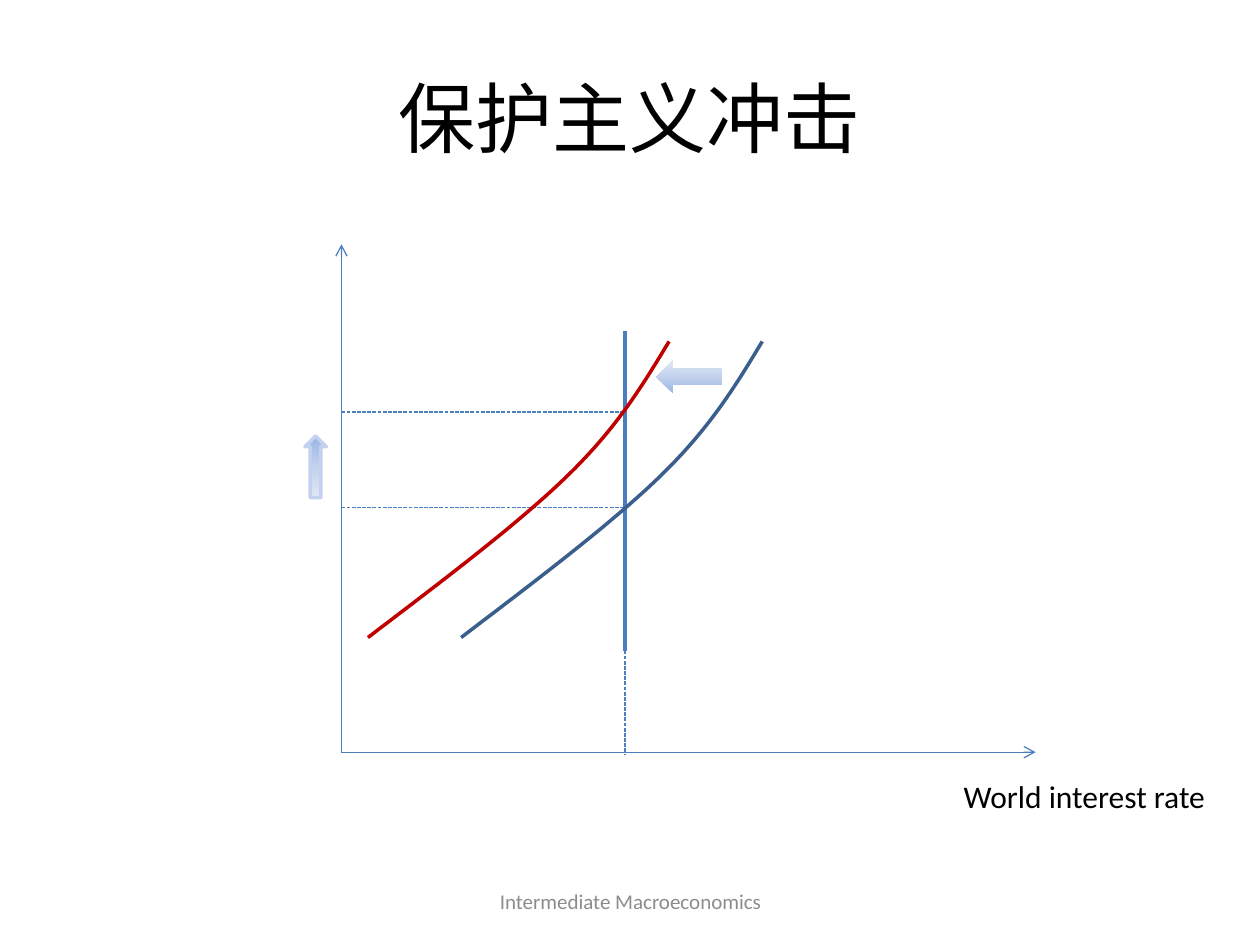
from lxml import etree
from pptx import Presentation
from pptx.dml.color import RGBColor
from pptx.enum.dml import MSO_LINE
from pptx.enum.shapes import MSO_CONNECTOR, MSO_SHAPE
from pptx.enum.text import MSO_ANCHOR, PP_ALIGN
from pptx.oxml.ns import qn
from pptx.util import Inches, Pt

STRAIGHT = MSO_CONNECTOR.STRAIGHT
RIGHT_ARROW, UP_ARROW = MSO_SHAPE.RIGHT_ARROW, MSO_SHAPE.UP_ARROW
DASH = MSO_LINE.SQUARE_DOT
TOP, MIDDLE = MSO_ANCHOR.TOP, MSO_ANCHOR.MIDDLE
LEFT, CENTER = PP_ALIGN.LEFT, PP_ALIGN.CENTER

COLORS = {
    "text": "000000", "footer": "8C8C8C", "axis": "4B7EBC",
    "demand": "3A5F8C", "shifted": "C00000",
    "deep": "9AB5E4", "mid": "C2D1ED", "pale": "E1E8F5",
}
COLUMNS, ROWS = 100, 75


def bezier(start, control_1, control_2, end, steps=20):
    """Points along one cubic segment, without its start."""
    points = []
    for step in range(1, steps + 1):
        t = step / steps
        weights = ((1 - t) ** 3, 3 * t * (1 - t) ** 2, 3 * t * t * (1 - t), t ** 3)
        corners = (start, control_1, control_2, end)
        points.append(tuple(sum(w * corner[axis] for w, corner in zip(weights, corners))
                            for axis in (0, 1)))
    return points


class Diagram:
    font = "Calibri"

    def __init__(self, deck):
        self.column = deck.slide_width / COLUMNS
        self.row = deck.slide_height / ROWS
        self.shapes = deck.slides.add_slide(deck.slide_layouts[6]).shapes

    def place(self, x, y):
        return round(x * self.column), round(y * self.row)

    def stroke(self, line, color, width):
        line.color.rgb = RGBColor.from_string(COLORS[color])
        line.width = Pt(width)

    def text(self, words, x, y, width, height, size, color="text",
             align=CENTER, anchor=MIDDLE):
        box = self.shapes.add_textbox(*self.place(x, y), *self.place(width, height))
        frame = box.text_frame
        frame.word_wrap = True
        frame.vertical_anchor = anchor
        frame.text = words
        para = frame.paragraphs[0]
        para.alignment = align
        font = para.runs[0].font
        font.name, font.size = self.font, Pt(size)
        font.color.rgb = RGBColor.from_string(COLORS[color])

    def line(self, start, end, width=0.75, dashed=False, arrow=False):
        connector = self.shapes.add_connector(STRAIGHT, *self.place(*start), *self.place(*end))
        self.stroke(connector.line, "axis", width)
        if dashed:
            connector.line.dash_style = DASH
        if arrow:
            etree.SubElement(connector.line._get_or_add_ln(), qn("a:tailEnd"), type="arrow")
        etree.SubElement(connector._element.spPr, qn("a:effectLst"))

    def curve(self, points, color):
        first, *others = [self.place(*point) for point in points]
        builder = self.shapes.build_freeform(*first)
        builder.add_line_segments(others, close=False)
        shape = builder.convert_to_shape()
        shape.shadow.inherit = False
        shape.fill.background()
        self.stroke(shape.line, color, 2)

    def block_arrow(self, kind, x, y, width, height, rotation=0, outline=None):
        shape = self.shapes.add_shape(kind, *self.place(x, y), *self.place(width, height))
        shape.shadow.inherit = False
        shape.rotation = rotation
        shape.fill.gradient()
        shape.fill.gradient_angle = 270
        stops = shape._element.spPr.find(".//" + qn("a:gsLst"))
        for stop in list(stops):
            stops.remove(stop)
        for position, color in ((0, "deep"), (50000, "mid"), (100000, "pale")):
            stop = etree.SubElement(stops, qn("a:gs"), pos=str(position))
            etree.SubElement(stop, qn("a:srgbClr"), val=COLORS[color])
        if outline:
            self.stroke(shape.line, outline, 2)
        else:
            shape.line.fill.background()


def main():
    deck = Presentation()
    deck.slide_width, deck.slide_height = Inches(10), Inches(7.5)
    diagram = Diagram(deck)

    # Title and footer
    diagram.text("保护主义冲击", 5, 3, 90, 12.5, 44)
    diagram.text("Intermediate Macroeconomics", 34.2, 69.5, 31.7, 4, 12, "footer")

    # Axes
    origin_x, origin_y = 27.1, 59.7
    origin = (origin_x, origin_y)
    diagram.line(origin, (82.2, origin_y), arrow=True)
    diagram.line(origin, (origin_x, 19.4), arrow=True)
    diagram.text("World interest rate", 75.5, 61.2, 22.5, 4, 18, align=LEFT, anchor=TOP)

    # Vertical supply line and its dashed extension
    supply_x = 49.6
    diagram.line((supply_x, 26.3), (supply_x, 51.7), width=2)
    diagram.line((supply_x, 50.8), (supply_x, 59.9), dashed=True)

    # Equilibrium levels
    for level in (40.3, 32.7):
        diagram.line((origin_x, level), (supply_x, level), dashed=True)

    # Curve before and after the shift to the left
    top, bend, bottom = (60.5, 27.1), (52.5, 37.7), (36.6, 50.6)
    points = [top,
              *bezier(top, (58.5, 30.4), (56.5, 33.8), bend),
              *bezier(bend, (48.5, 41.6), (42.5, 46.1), bottom)]
    for shift, color in ((0, "demand"), (7.4, "shifted")):
        diagram.curve([(x - shift, y) for x, y in points], color)

    # Arrows for the shift and the rise
    diagram.block_arrow(RIGHT_ARROW, 52.1, 28.6, 5.2, 2.6, rotation=180)
    diagram.block_arrow(UP_ARROW, 24.2, 34.6, 1.7, 4.9, outline="mid")

    deck.save("out.pptx")


if __name__ == "__main__":
    main()
